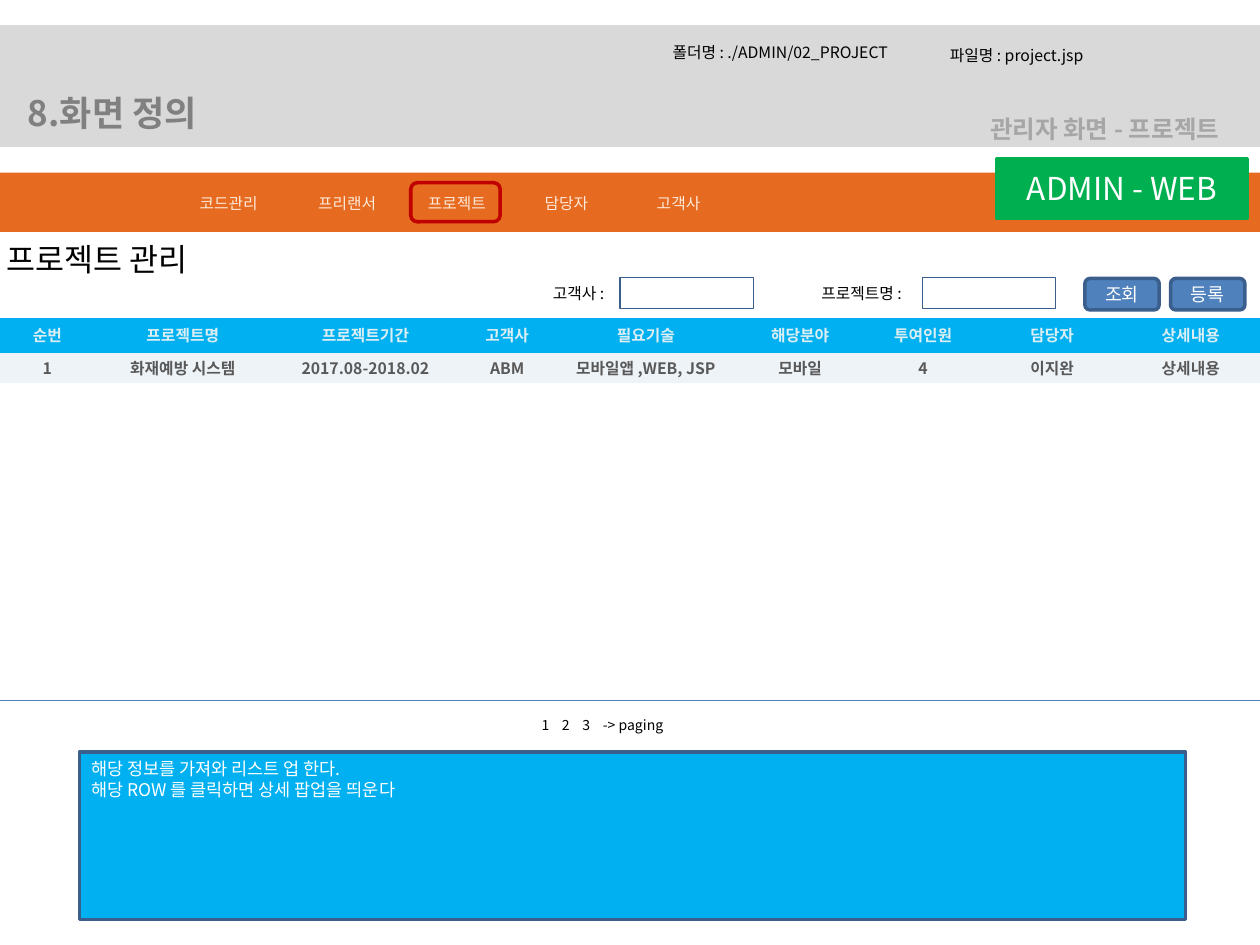
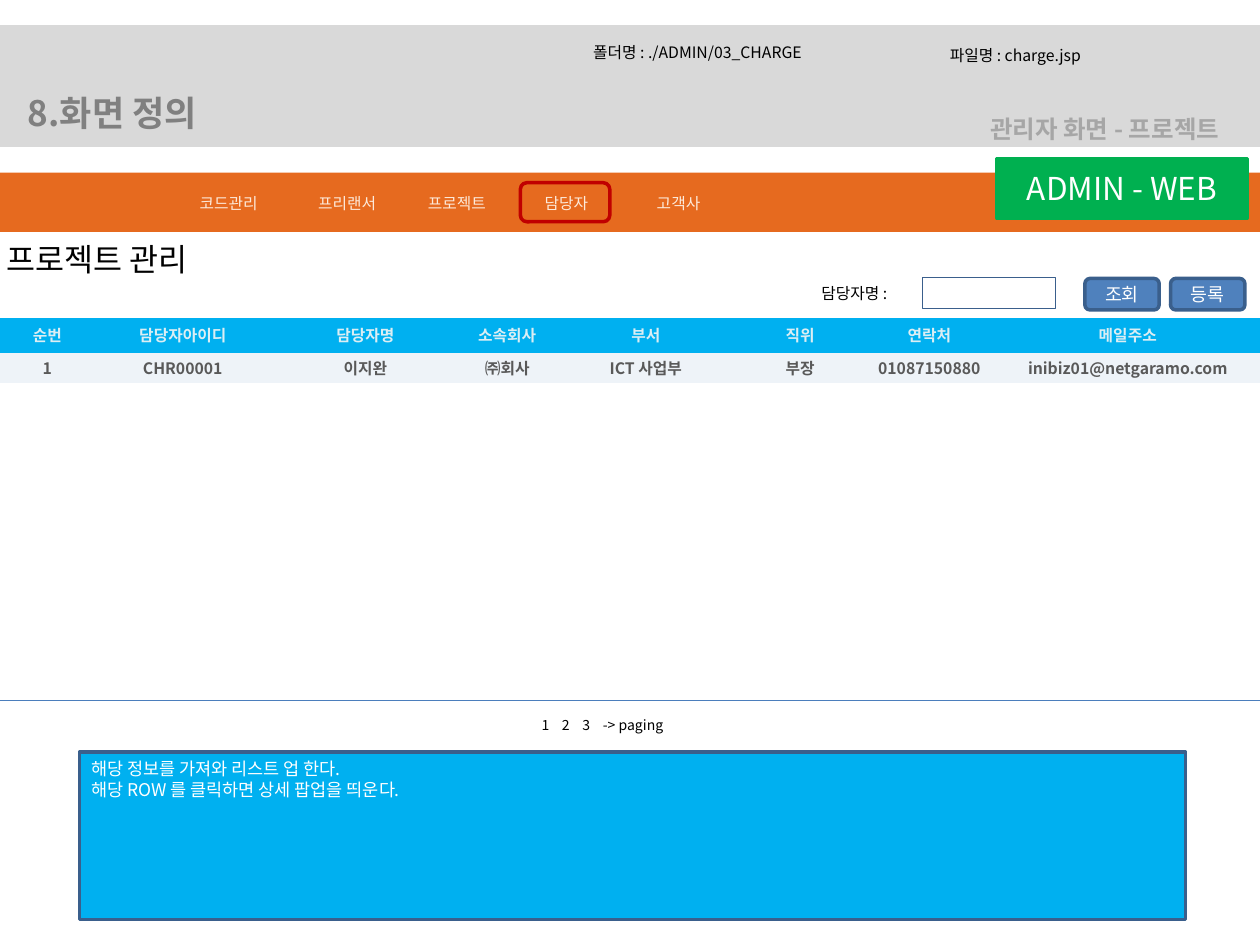
from lxml import etree
from pptx import Presentation, util as u
from pptx.dml.color import RGBColor
from pptx.enum import shapes, text
from pptx.oxml import ns

FONT = "Noto Sans CJK KR"
UNIT = u.Inches(0.1)  # the slide is a grid of 100 columns by 75 rows
COLORS = {
    "band": "D9D9D9", "title": "808080", "subtitle": "A6A6A6",
    "menu": "E66A1F", "menu_text": "FDEADA", "active": "C00000",
    "badge": "00B050", "button": "4F81BD", "edge": "3A5F8C", "rule": "4B7EBC",
    "header": "00B0F0", "header_text": "DBEEF4",
    "row": "EEF3F8", "row_text": "595959", "white": "FFFFFF", "black": "000000",
}
MENU = {"코드관리": 13.8, "프리랜서": 23.2, "프로젝트": 31.9, "담당자": 40.6, "고객사": 49.5}
BUTTONS = {"조회": 86.1, "등록": 92.9}
RECT = shapes.MSO_SHAPE.RECTANGLE
ROUNDED = shapes.MSO_SHAPE.ROUNDED_RECTANGLE
LEFT, CENTER = text.PP_ALIGN.LEFT, text.PP_ALIGN.CENTER

SCREENS = [
    {
        "folder": ("./ADMIN/02_PROJECT", 52.4), "file": "project.jsp", "active": "프로젝트",
        "searches": [("고객사", 42.9, 49.2), ("프로젝트명", 64.2, 73.2)],
        "edges": [0, 7.5, 21.5, 36.5, 44, 58.5, 68.5, 78, 89, 100],
        "rows": [
            ["순번", "프로젝트명", "프로젝트기간", "고객사", "필요기술",
             "해당분야", "투여인원", "담당자", "상세내용"],
            ["1", "화재예방 시스템", "2017.08-2018.02", "ABM", "모바일앱 ,WEB, JSP",
             "모바일", "4", "이지완", "상세내용"],
        ],
        "notes": ["해당 정보를 가져와 리스트 업 한다.", "해당 ROW 를 클릭하면 상세 팝업을 띄운다"],
    },
    {
        "folder": ("./ADMIN/03_CHARGE", 46.1), "file": "charge.jsp", "active": "담당자",
        "searches": [("담당자명", 64.2, 73.2)],
        "edges": [0, 7.5, 21.5, 36.5, 44, 58.5, 68.5, 79, 100],
        "rows": [
            ["순번", "담당자아이디", "담당자명", "소속회사", "부서", "직위", "연락처", "메일주소"],
            ["1", "CHR00001", "이지완", "㈜회사", "ICT 사업부", "부장",
             "01087150880", "inibiz01@netgaramo.com"],
        ],
        "notes": ["해당 정보를 가져와 리스트 업 한다.", "해당 ROW 를 클릭하면 상세 팝업을 띄운다."],
    },
]


def rgb(name):
    return RGBColor.from_string(COLORS[name])


def grid(*cells):
    return [round(cell * UNIT) for cell in cells]


def write(frame, lines, size, color, bold=False, align=LEFT):
    frame.word_wrap = True
    for number, line in enumerate(lines):
        paragraph = frame.add_paragraph() if number else frame.paragraphs[0]
        paragraph.alignment = align
        run = paragraph.add_run()
        run.text = line
        run.font.size, run.font.bold, run.font.name = u.Pt(size), bold, FONT
        run.font.color.rgb = rgb(color)
        east_asian = etree.SubElement(run.font._element, ns.qn("a:ea"))
        east_asian.set("typeface", FONT)


def add_label(slide, place, line, size=9, color="black", **style):
    label = slide.shapes.add_textbox(*grid(*place))
    write(label.text_frame, [line], size, color, **style)
    return label


def add_block(slide, place, fill=None, edge=None, width=2, kind=RECT):
    block = slide.shapes.add_shape(kind, *grid(*place))
    block.shadow.inherit = False
    if fill:
        block.fill.solid()
        block.fill.fore_color.rgb = rgb(fill)
    else:
        block.fill.background()
    if edge:
        block.line.color.rgb = rgb(edge)
        block.line.width = u.Pt(width)
    else:
        block.line.fill.background()
    return block


def add_heading(slide, screen):
    band = add_block(slide, (0, 2.1, 100, 9.4), "band", "band")
    title = slide.shapes.title
    title.element.addprevious(band.element)  # keeps the band behind the title
    title.left, title.top, title.width, title.height = grid(1.2, 6.8, 37.8, 4.4)
    title.text_frame.auto_size = text.MSO_AUTO_SIZE.NONE
    title.text_frame.vertical_anchor = text.MSO_ANCHOR.TOP
    write(title.text_frame, ["8.화면 정의"], 20, "title", bold=True)
    add_label(slide, (77.6, 8.6, 26.4, 3.4), "관리자 화면 - 프로젝트", 14, "subtitle", bold=True)
    folder, left = screen["folder"]
    add_label(slide, (left, 2.9, 27, 2.5), f"폴더명 : {folder}")
    add_label(slide, (74.4, 3.1, 23.8, 2.5), f"파일명 : {screen['file']}")


def add_menu(slide, active):
    add_block(slide, (0, 13.7, 100, 4.7), "menu")
    add_block(slide, (MENU[active] + 0.7, 14.5, 7.1, 3.1), edge="active", kind=ROUNDED)
    for name, left in MENU.items():
        add_label(slide, (left, 14.9, 8.7, 2.5), name, color="menu_text", align=CENTER)
    badge = add_block(slide, (79.1, 12.6, 19.9, 4.7), "badge", "badge")
    write(badge.text_frame, ["ADMIN - WEB"], 18, "white", align=CENTER)


def add_search(slide, searches):
    add_label(slide, (-0.5, 18.6, 33.1, 4), "프로젝트 관리", 18)
    for name, label_left, field_left in searches:
        add_label(slide, (label_left, 22, 9.4, 2.5), f"{name} :")
        add_block(slide, (field_left, 22, 10.6, 2.5), edge="edge", width=0.75)
    for name, left in BUTTONS.items():
        button = add_block(slide, (left, 22.1, 5.9, 2.5), "button", "edge", kind=ROUNDED)
        write(button.text_frame, [name], 10.5, "white", align=CENTER)


def add_list(slide, rows, edges):
    """Fill the result table; edges are the column borders on the grid."""
    table = slide.shapes.add_table(len(rows), len(rows[0]), *grid(0, 25.2, 100, 5.2)).table
    for column, start, end in zip(table.columns, edges, edges[1:]):
        column.width = grid(end - start)[0]
    for number, (row, values) in enumerate(zip(table.rows, rows)):
        part = "row" if number else "header"
        row.height = grid(2.4 if number else 2.8)[0]
        for cell, value in zip(row.cells, values):
            cell.fill.solid()
            cell.fill.fore_color.rgb = rgb(part)
            cell.margin_left = cell.margin_right = cell.margin_top = cell.margin_bottom = 0
            cell.vertical_anchor = text.MSO_ANCHOR.MIDDLE
            write(cell.text_frame, [value], 9, f"{part}_text", bold=True, align=CENTER)
            for side in ("a:lnB", "a:lnT", "a:lnR", "a:lnL"):
                border = etree.Element(ns.qn(side), w="0")
                etree.SubElement(border, ns.qn("a:noFill"))
                cell._tc.get_or_add_tcPr().insert(0, border)


def add_paging(slide):
    rule = slide.shapes.add_connector(shapes.MSO_CONNECTOR.STRAIGHT, *grid(0, 55.6, 100, 55.6))
    rule.line.color.rgb = rgb("rule")
    rule.line.width = u.Pt(0.75)
    etree.SubElement(rule.element.spPr, ns.qn("a:effectLst"))
    pages = add_label(slide, (42, 56.4, 17.2, 2.4), "1\t2\t3\t-> paging", 8)
    properties = pages.text_frame.paragraphs[0]._p.get_or_add_pPr()
    stops = etree.SubElement(properties, ns.qn("a:tabLst"))
    for stop in range(1, 4):
        etree.SubElement(stops, ns.qn("a:tab"), pos=str(grid(1.62 * stop)[0]), algn="l")


def add_notes_panel(slide, notes):
    panel = add_block(slide, (6.3, 59.7, 87.8, 13.3), "header", "edge")
    panel.text_frame.vertical_anchor = text.MSO_ANCHOR.TOP
    write(panel.text_frame, notes, 10, "white")


def main():
    deck = Presentation()
    deck.slide_width, deck.slide_height = grid(100, 75)
    title_only = deck.slide_layouts[5]
    for screen in SCREENS:
        slide = deck.slides.add_slide(title_only)
        add_heading(slide, screen)
        add_menu(slide, screen["active"])
        add_search(slide, screen["searches"])
        add_list(slide, screen["rows"], screen["edges"])
        add_paging(slide)
        add_notes_panel(slide, screen["notes"])
    deck.save("out.pptx")


if __name__ == "__main__":
    main()
